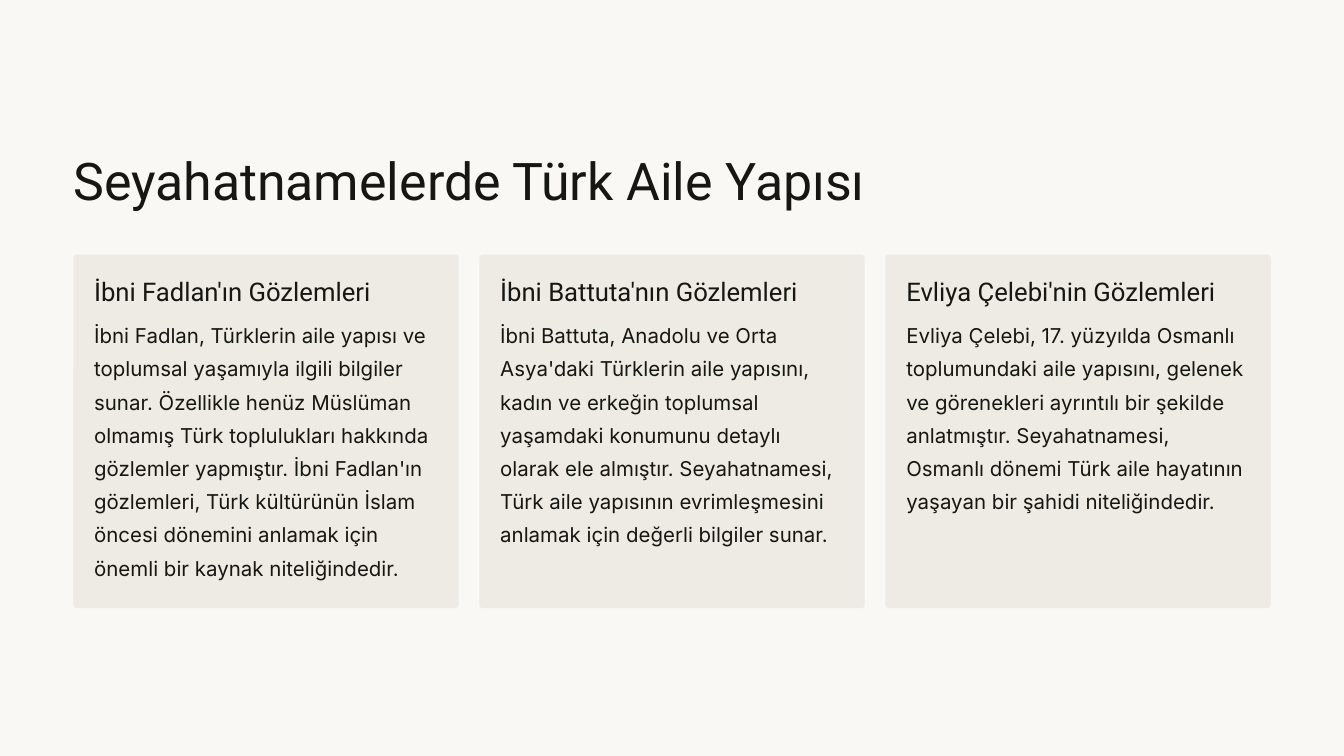
from pptx import Presentation
from pptx.dml.color import RGBColor
from pptx.enum import shapes, text
from pptx.util import Inches, Pt

PAPER = RGBColor(0xF9, 0xF8, 0xF5)
CARD = RGBColor(0xED, 0xEB, 0xE3)
INK = RGBColor(0x16, 0x16, 0x13)

WIDTH, HEIGHT = 20, 11.25
MARGIN, GAP, PADDING = 1.09, 0.31, 0.31
CARD_TOP, CARD_HEIGHT, CORNER = 3.79, 5.26, 0.05
HEADING_TOP, BODY_TOP = 4.09, 4.68

TITLE = "Seyahatnamelerde Türk Aile Yapısı"
# Heading, body, number of body lines
CARDS = [
    ("İbni Fadlan'ın Gözlemleri",
     "İbni Fadlan, Türklerin aile yapısı ve toplumsal yaşamıyla ilgili bilgiler "
     "sunar. Özellikle henüz Müslüman olmamış Türk toplulukları hakkında gözlemler "
     "yapmıştır. İbni Fadlan'ın gözlemleri, Türk kültürünün İslam öncesi dönemini "
     "anlamak için önemli bir kaynak niteliğindedir.", 8),
    ("İbni Battuta'nın Gözlemleri",
     "İbni Battuta, Anadolu ve Orta Asya'daki Türklerin aile yapısını, kadın ve "
     "erkeğin toplumsal yaşamdaki konumunu detaylı olarak ele almıştır. "
     "Seyahatnamesi, Türk aile yapısının evrimleşmesini anlamak için değerli "
     "bilgiler sunar.", 7),
    ("Evliya Çelebi'nin Gözlemleri",
     "Evliya Çelebi, 17. yüzyılda Osmanlı toplumundaki aile yapısını, gelenek ve "
     "görenekleri ayrıntılı bir şekilde anlatmıştır. Seyahatnamesi, Osmanlı dönemi "
     "Türk aile hayatının yaşayan bir şahidi niteliğindedir.", 6),
]


class CardSlide:
    """Holds the text styles, the column grid and the current slide."""

    # Font, size, line height
    TITLE_STYLE = ("Roboto", 55.6, 69.4)
    HEADING_STYLE = ("Roboto", 27.5, 34.4)
    BODY_STYLE = ("Inter", 21.9, 35.6)

    def __init__(self, presentation, columns):
        self.slide = presentation.slides.add_slide(presentation.slide_layouts[5])
        self.column_width = (WIDTH - 2 * MARGIN - (columns - 1) * GAP) / columns
        background = self.slide.background.fill
        background.solid()
        background.fore_color.rgb = PAPER

    def column_left(self, column):
        return MARGIN + column * (self.column_width + GAP)

    def set_text(self, shape, words, style):
        font_name, size, line_height = style
        frame = shape.text_frame
        frame.word_wrap = True
        frame.auto_size = text.MSO_AUTO_SIZE.NONE
        frame.vertical_anchor = text.MSO_ANCHOR.TOP
        frame.margin_left = frame.margin_right = 0
        frame.margin_top = frame.margin_bottom = 0
        paragraph = frame.paragraphs[0]
        paragraph.alignment = text.PP_ALIGN.LEFT
        paragraph.line_spacing = Pt(line_height)
        run = paragraph.add_run()
        run.text = words
        run.font.name = font_name
        run.font.size = Pt(size)
        run.font.color.rgb = INK

    def title(self, words):
        shape = self.slide.shapes.title
        shape.left, shape.top = Inches(MARGIN), Inches(2.18)
        shape.width, shape.height = Inches(12.43), Inches(0.99)
        self.set_text(shape, words, self.TITLE_STYLE)

    def panel(self, column):
        shape = self.slide.shapes.add_shape(
            shapes.MSO_SHAPE.ROUNDED_RECTANGLE,
            Inches(self.column_left(column)), Inches(CARD_TOP),
            Inches(self.column_width), Inches(CARD_HEIGHT))
        shape.adjustments[0] = CORNER / CARD_HEIGHT
        shape.shadow.inherit = False
        shape.fill.solid()
        shape.fill.fore_color.rgb = CARD
        shape.line.fill.background()

    def label(self, column, top, height, words, style):
        shape = self.slide.shapes.add_textbox(
            Inches(self.column_left(column) + PADDING), Inches(top),
            Inches(self.column_width - 2 * PADDING + 0.02), Inches(height))
        self.set_text(shape, words, style)

    def card(self, column, heading, body, lines):
        self.panel(column)
        self.label(column, HEADING_TOP, 0.49, heading, self.HEADING_STYLE)
        body_height = lines * self.BODY_STYLE[2] / 72 + 0.1
        self.label(column, BODY_TOP, body_height, body, self.BODY_STYLE)


def main():
    presentation = Presentation()
    presentation.slide_width = Inches(WIDTH)
    presentation.slide_height = Inches(HEIGHT)

    # Title
    page = CardSlide(presentation, len(CARDS))
    page.title(TITLE)

    # One card for each traveller
    for column, (heading, body, lines) in enumerate(CARDS):
        page.card(column, heading, body, lines)

    presentation.save("out.pptx")


if __name__ == "__main__":
    main()
